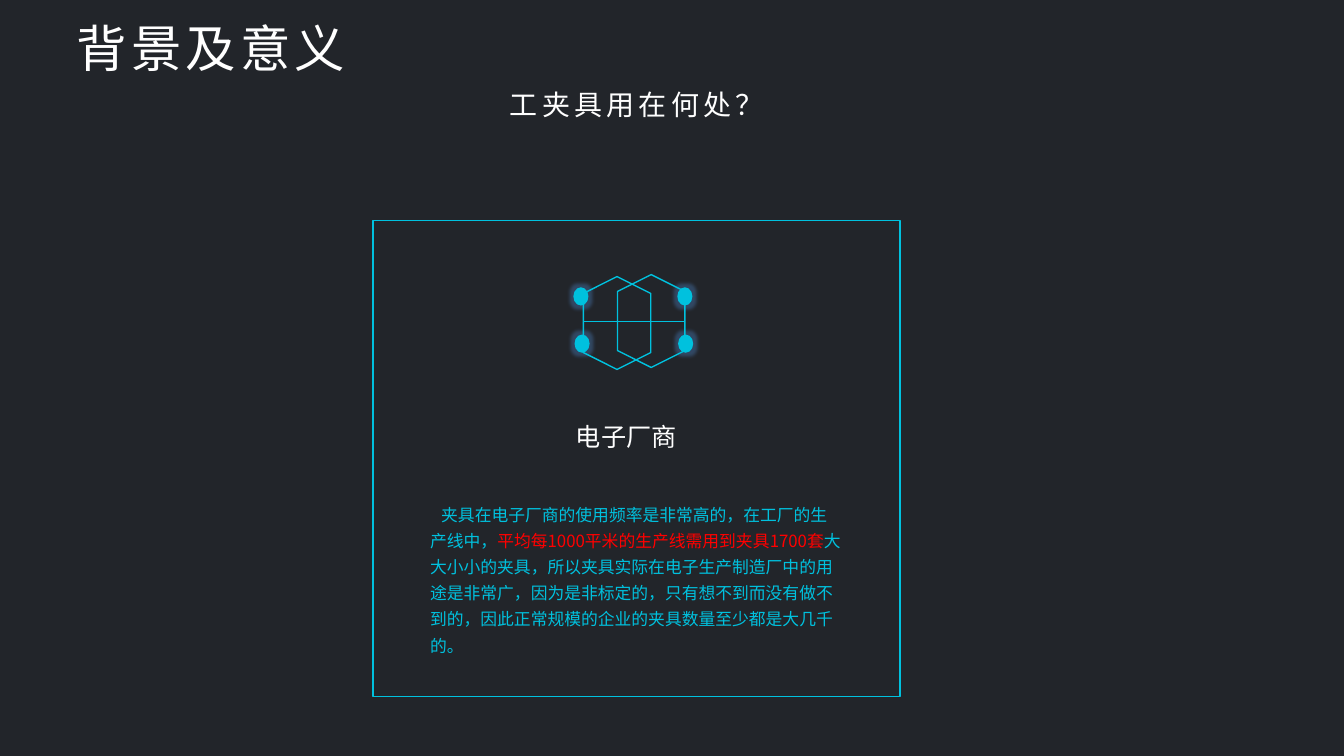
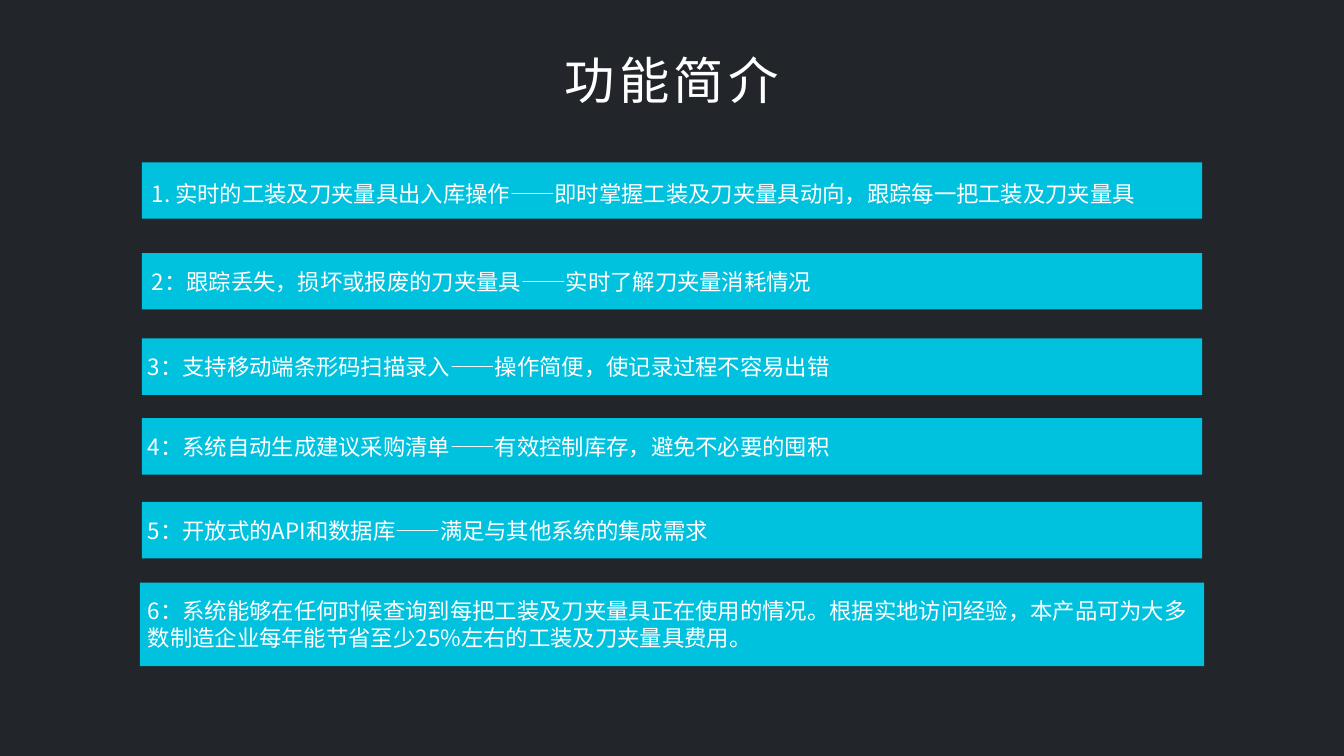
from lxml.etree import SubElement
from pptx import Presentation
from pptx.dml.color import RGBColor
from pptx.enum.shapes import MSO_CONNECTOR, MSO_SHAPE
from pptx.enum.text import MSO_ANCHOR, MSO_AUTO_SIZE, PP_ALIGN
from pptx.oxml.ns import qn
from pptx.util import Cm, Pt

FONT = "Noto Sans CJK SC"
BACKGROUND = "22252A"
CYAN = "00C1DE"
WHITE = "FFFFFF"
RED = "FF0000"
GLOW = "4A7EBB"


def color(hex_value):
    return RGBColor.from_string(hex_value)


def write(shape, texts, size, text_color=WHITE, align=PP_ALIGN.CENTER, tracking=0):
    """Fill a shape with one paragraph, one run per text, and return the paragraph."""
    frame = shape.text_frame
    frame.word_wrap = True
    frame.auto_size = MSO_AUTO_SIZE.NONE
    frame.vertical_anchor = MSO_ANCHOR.MIDDLE
    paragraph = frame.paragraphs[0]
    for text in texts:
        paragraph.add_run().text = text
    paragraph.alignment = align
    font = paragraph.font
    font.name = FONT
    font.size = Pt(size)
    font.bold = False
    font.color.rgb = color(text_color)
    properties = paragraph._p.pPr.find(qn("a:defRPr"))
    properties.set("spc", str(tracking * 100))
    SubElement(properties, qn("a:ea"), typeface=FONT)
    return paragraph


presentation = Presentation()
presentation.slide_width = Cm(33.87)
presentation.slide_height = Cm(19.05)
master_fill = presentation.slide_master.background.fill
master_fill.solid()
master_fill.fore_color.rgb = color(BACKGROUND)

slides = []
for text, left, top, width in [
    ("背景及意义", 0, 0.3, 10.64),
    ("功能简介", 9.55, 1.09, 14.76),
]:
    slide = presentation.slides.add_slide(presentation.slide_layouts[5])
    title = slide.shapes.title
    title.left, title.top = Cm(left), Cm(top)
    title.width, title.height = Cm(width), Cm(1.8)
    write(title, [text], 36, tracking=3)
    slides.append(slide)
background_slide, features_slide = slides

# Background: where fixtures are used
shapes = background_slide.shapes
subtitle = shapes.add_textbox(Cm(11.35), Cm(2.08), Cm(9.4), Cm(1.12))
write(subtitle, ["工夹具用在何处？"], 20, tracking=3)

for left, top in [(14.45, 7.24), (14.48, 8.43), (17.07, 7.24), (17.09, 8.43)]:
    node = shapes.add_shape(MSO_SHAPE.OVAL, Cm(left), Cm(top), Cm(0.38), Cm(0.46))
    node.fill.solid()
    node.fill.fore_color.rgb = color(CYAN)
    node.line.fill.background()
    node.shadow.inherit = False
    effects = node._element.spPr.find(qn("a:effectLst"))
    glow = SubElement(effects, qn("a:glow"), rad=str(Pt(5)))
    glow_color = SubElement(glow, qn("a:srgbClr"), val=GLOW)
    SubElement(glow_color, qn("a:alpha"), val="40000")

for preset, left, top, width, height, rotation in [
    (MSO_SHAPE.HEXAGON, 14.38, 7.29, 2.34, 1.7, 90),
    (MSO_SHAPE.HEXAGON, 15.24, 7.24, 2.34, 1.7, 90),
    (MSO_SHAPE.RECTANGLE, 9.4, 5.56, 13.28, 11.99, 0),
]:
    outline = shapes.add_shape(preset, Cm(left), Cm(top), Cm(width), Cm(height))
    outline.rotation = rotation
    outline.fill.background()
    outline.line.color.rgb = color(CYAN)
    outline.line.width = Pt(1)
    outline.shadow.inherit = False

axis = shapes.add_connector(MSO_CONNECTOR.STRAIGHT, Cm(14.7), Cm(8.1), Cm(17.27), Cm(8.1))
axis.line.color.rgb = color(CYAN)
axis.line.width = Pt(0.5)
SubElement(axis._element.spPr, qn("a:effectLst"))

heading = shapes.add_textbox(Cm(12.29), Cm(10.49), Cm(6.99), Cm(1.02))
write(heading, ["电子厂商"], 18)

body = shapes.add_textbox(Cm(10.59), Cm(12.42), Cm(10.9), Cm(4.24))
paragraph = write(
    body,
    [
        "夹具在电子厂商的使用频率是非常高的，在工厂的生产线中，",
        "平均每1000平米的生产线需用到夹具1700套",
        "大大小小的夹具，所以夹具实际在电子生产制造厂中的用途是非常广，因为是非标定的，"
        "只有想不到而没有做不到的，因此正常规模的企业的夹具数量至少都是大几千的。",
    ],
    12,
    CYAN,
    PP_ALIGN.LEFT,
)
paragraph.line_spacing = 1.3
paragraph._p.pPr.set("indent", str(Cm(0.28)))
paragraph.runs[1].font.color.rgb = color(RED)

# Features: one bar each
features = [
    (4.09, 0.25, "1. 实时的工装及刀夹量具出入库操作——即时掌握工装及刀夹量具动向，跟踪每一把工装及刀夹量具"),
    (6.38, 0.25, "2：跟踪丢失，损坏或报废的刀夹量具——实时了解刀夹量消耗情况"),
    (8.53, 0.15, "3：支持移动端条形码扫描录入——操作简便，使记录过程不容易出错"),
    (10.54, 0.15, "4：系统自动生成建议采购清单——有效控制库存，避免不必要的囤积"),
    (12.65, 0.15, "5：开放式的API和数据库——满足与其他系统的集成需求"),
    (14.68, 0.2, "6：系统能够在任何时候查询到每把工装及刀夹量具正在使用的情况。"
                 "根据实地访问经验，本产品可为大多数制造企业每年能节省至少25%左右的工装及刀夹量具费用。"),
]
for index, (top, margin, text) in enumerate(features):
    is_last = index == len(features) - 1
    width, height = (26.82, 2.11) if is_last else (26.72, 1.42)
    left = (33.87 - width) / 2
    bar = features_slide.shapes.add_shape(
        MSO_SHAPE.RECTANGLE, Cm(left), Cm(top), Cm(width), Cm(height)
    )
    bar.fill.solid()
    bar.fill.fore_color.rgb = color(CYAN)
    bar.line.fill.background()
    bar.shadow.inherit = False
    bar.text_frame.margin_left = Cm(margin)
    bar.text_frame.margin_right = Cm(0.2)
    paragraph = write(bar, [text], 16, align=PP_ALIGN.LEFT)
    if index == 0:
        paragraph.line_spacing = 1.2

presentation.save("out.pptx")
